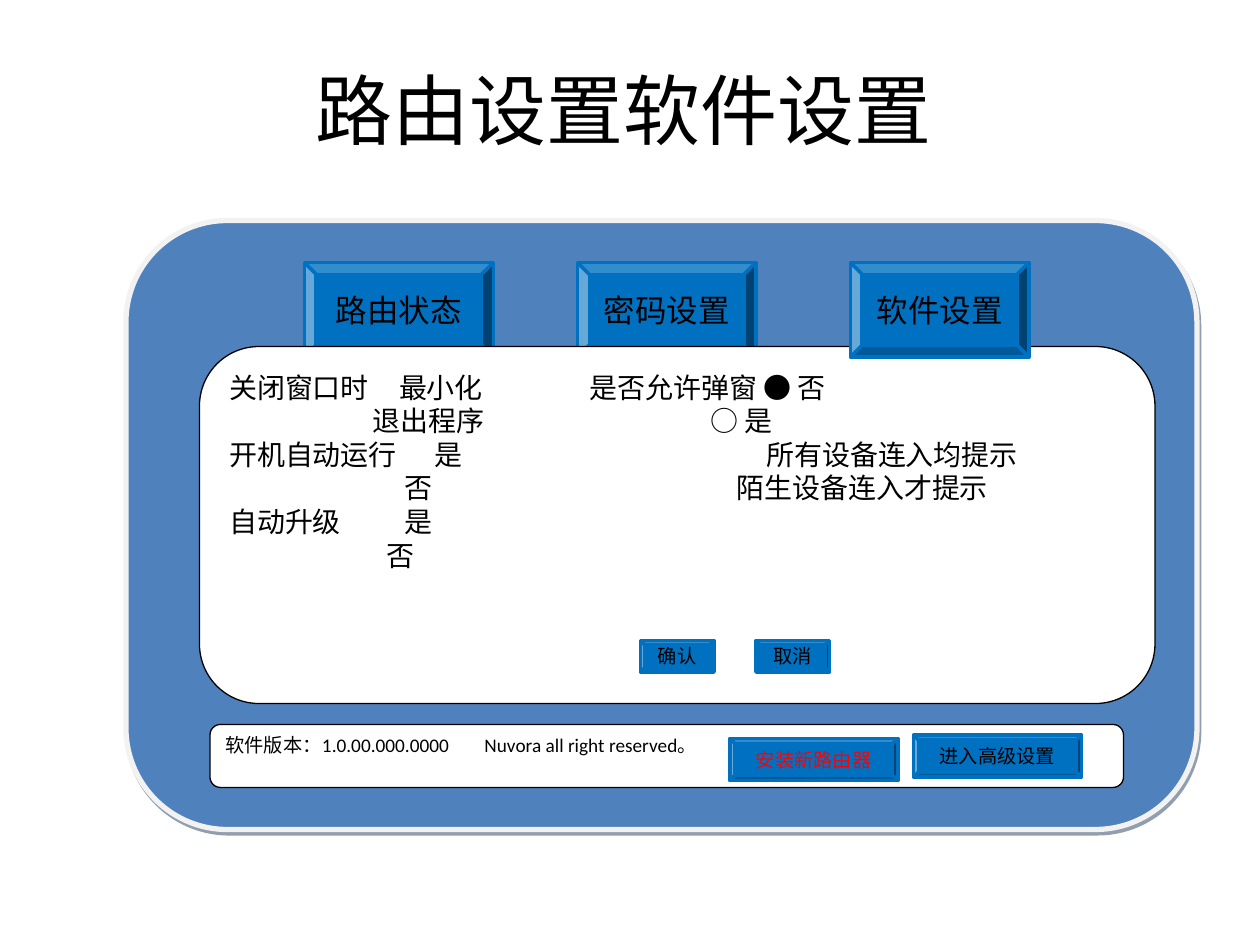
import pptx
import pptx.util
import pptx.dml.color
import pptx.enum.shapes
import pptx.enum.text
import lxml.etree

Pt = pptx.util.Pt
KIND = pptx.enum.shapes.MSO_SHAPE
ALIGN = pptx.enum.text.PP_ALIGN
ANCHOR = pptx.enum.text.MSO_ANCHOR
NS = "http://schemas.openxmlformats.org/drawingml/2006/main"


def tint(color, code):
    color.rgb = pptx.dml.color.RGBColor.from_string(code)


def node(parent, tag, **attrs):
    return lxml.etree.SubElement(parent, "{%s}%s" % (NS, tag), attrs)


def style(par, size, code="000000", align=ALIGN.LEFT):
    par.alignment = align
    par.font.name = "Calibri"
    par.font.size = Pt(size)
    tint(par.font.color, code)


def stops(par, places):
    """Left tab stops, in points from the text edge."""
    props = par._p.get_or_add_pPr()
    tabs = node(props, "tabLst")
    props.insert(0, tabs)
    for place in places:
        node(tabs, "tab", pos=str(Pt(place)), algn="l")


def block(kind, x, y, w, h, fill, line, width):
    shape = slide.shapes.add_shape(kind, Pt(x), Pt(y), Pt(w), Pt(h))
    shape.shadow.inherit = False
    shape.fill.solid()
    tint(shape.fill.fore_color, fill)
    tint(shape.line.color, line)
    shape.line.width = Pt(width)
    return shape


def button(x, y, w, h, text, size=11, code="000000"):
    shape = block(KIND.BEVEL, x, y, w, h, "0070C0", "0070C0", 2)
    frame = shape.text_frame
    frame.vertical_anchor = ANCHOR.MIDDLE
    frame.text = text
    style(frame.paragraphs[0], size, code, ALIGN.CENTER)


def sheet(x, y, w, h, rows, size):
    """White rounded box; each row is its text and its tab stops."""
    shape = block(KIND.FLOWCHART_ALTERNATE_PROCESS, x, y, w, h,
                  "FFFFFF", "000000", 0.75)
    frame = shape.text_frame
    frame.vertical_anchor = ANCHOR.TOP
    frame.text = "\n".join(text for text, _ in rows)
    for par, (_, places) in zip(frame.paragraphs, rows):
        style(par, size)
        stops(par, places)


def title(x, y, w, h, text):
    shape = slide.shapes.title
    shape.left, shape.top, shape.width, shape.height = map(Pt, (x, y, w, h))
    shape.text_frame.text = text
    shape.text_frame.vertical_anchor = ANCHOR.MIDDLE
    style(shape.text_frame.paragraphs[0], 44, align=ALIGN.CENTER)


def window(x, y, w, h):
    shape = block(KIND.FLOWCHART_ALTERNATE_PROCESS, x, y, w, h,
                  "4F81BD", "F2F2F2", 3)
    effects = shape._element.spPr.find("{%s}effectLst" % NS)
    shade = node(effects, "outerShdw", dist=str(Pt(2.2)), dir="3780000",
                 algn="ctr", rotWithShape="0")
    node(node(shade, "srgbClr", val="243F60"), "alpha", val="50000")

    # Tabs: the open one lies in front of the panel
    step, top = 156, y + 24
    button(x + 258, top, 102, 54, "密码设置", 18)
    button(x + 258 - step, top, 108, 54, "路由状态", 18)
    panel(x + 42, y + 72, 546, 204)
    footer(x + 48, y + 288, 522, 36)
    button(x + 258 + step, top, 102, 54, "软件设置", 18)


def panel(x, y, w, h):
    rows = [
        ("关闭窗口时\t最小化\t是否允许弹窗 ● 否", (97, 206)),
        ("\t退出程序\t○ 是", (82, 275)),
        ("开机自动运行\t是\t所有设备连入均提示", (117, 307)),
        ("\t否\t陌生设备连入才提示", (100, 290)),
        ("自动升级\t是", (100,)),
        ("\t否", (90,)),
    ]
    sheet(x, y, w, h, rows, 16)
    for i, text in enumerate(("确认", "取消")):
        button(x + 252 + 66 * i, y + 168, 42, 18, text)


def footer(x, y, w, h):
    text = "软件版本：1.0.00.000.0000\tNuvora all right reserved。"
    sheet(x, y, w, h, [(text, (148,))], 11)
    button(x + 402, y + 6, 96, 24, "进入高级设置")
    button(x + 297, y + 8, 96, 24, "安装新路由器", code="FF0000")


deck = pptx.Presentation()
deck.slide_width, deck.slide_height = Pt(720), Pt(540)
slide = deck.slides.add_slide(deck.slide_layouts[5])
title(36, 34.5, 641, 55, "路由设置软件设置")
window(72, 126, 612, 348)
deck.save("out.pptx")
